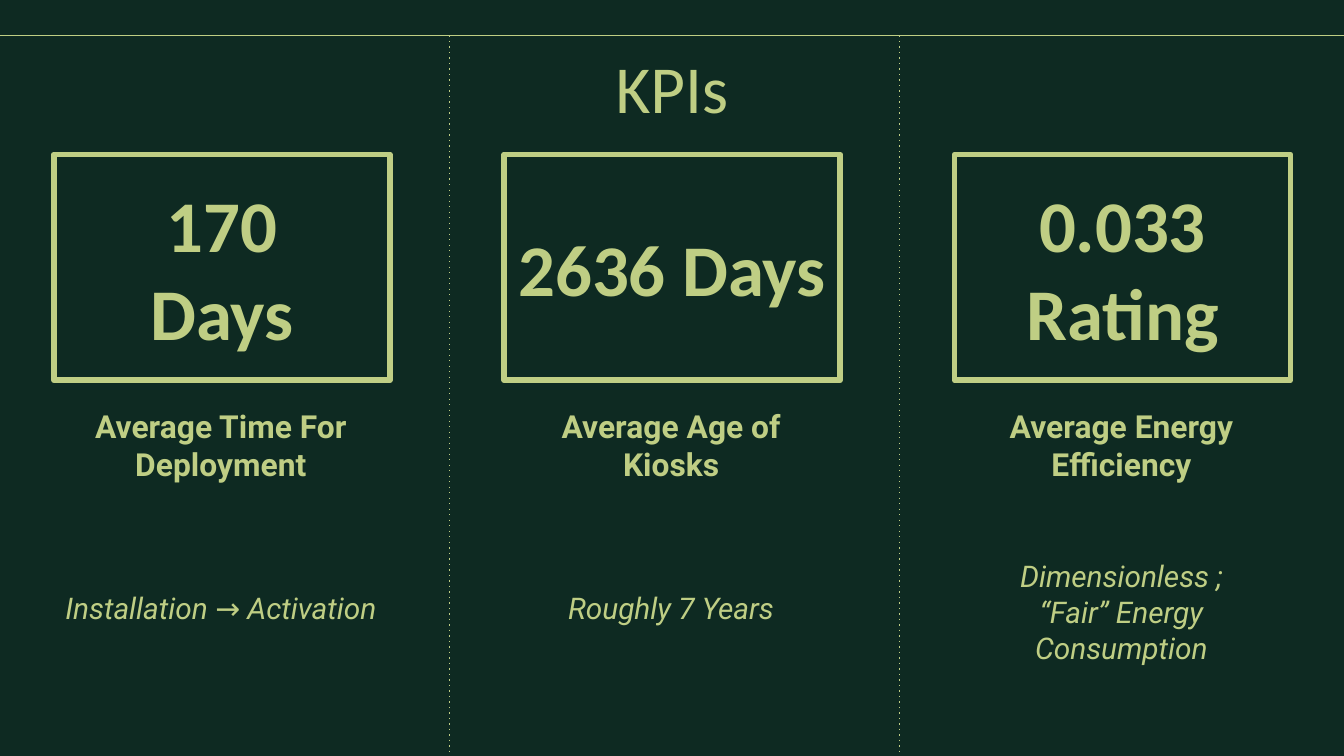
from lxml import etree
from pptx import Presentation
from pptx import util as u
from pptx.dml.color import RGBColor
from pptx.enum import shapes, text
from pptx.oxml.ns import qn

COLOURS = {"ground": "0E2A22", "accent": "BFCE84"}
WIDTH, HEIGHT = 25.4, 14.29
RULE_TOP = 0.67
PITCH = 8.51
FORMATS = {
    "title": {"name": "Calibri", "size": u.Pt(36), "bold": False},
    "value": {"name": "Calibri", "size": u.Pt(39), "bold": True},
    "caption": {"name": "Roboto", "size": u.Pt(17), "bold": True},
    "note": {"name": "Roboto", "size": u.Pt(16), "bold": False, "italic": True},
    "arrow": {"name": "Roboto", "size": u.Pt(16), "bold": False, "italic": False},
}
KPIS = [
    {
        "value": ["170", "Days"],
        "caption": ["Average Time For Deployment"],
        "note": [[("Installation ", "note"), ("→", "arrow"), (" Activation", "note")]],
        "gap": 57,
    },
    {
        "value": ["2636 Days"],
        "caption": ["Average Age of", "Kiosks"],
        "note": [[("Roughly 7 Years", "note")]],
        "gap": 57,
    },
    {
        "value": ["0.033", "Rating"],
        "caption": ["Average Energy Efficiency"],
        "note": [[("Dimensionless ;", "note")], [("“Fair” Energy Consumption", "note")]],
        "gap": 40,
    },
]


def colour(key):
    return RGBColor.from_string(COLOURS[key])


def place(element, left, top, width, height):
    element.left, element.top = u.Cm(left), u.Cm(top)
    element.width, element.height = u.Cm(width), u.Cm(height)


def set_frame(frame, anchor):
    settings = {"word_wrap": True, "auto_size": text.MSO_AUTO_SIZE.NONE, "vertical_anchor": anchor}
    settings.update(dict.fromkeys(
        ("margin_left", "margin_top", "margin_right", "margin_bottom"), u.Cm(0.25)))
    for key, setting in settings.items():
        setattr(frame, key, setting)


def write(frame, paragraphs):
    for index, (runs, gap) in enumerate(paragraphs):
        paragraph = frame.add_paragraph() if index else frame.paragraphs[0]
        paragraph.alignment = text.PP_ALIGN.CENTER
        if gap:
            paragraph.space_before = u.Pt(gap)
        for words, style in runs:
            run = paragraph.add_run()
            run.text = words
            for key, setting in FORMATS[style].items():
                setattr(run.font, key, setting)
            run.font.color.rgb = colour("accent")


def set_line(line, weight, detail=None, **attributes):
    line.color.rgb = colour("accent")
    line.width = u.Pt(weight)
    if detail:
        etree.SubElement(line._get_or_add_ln(), qn(detail), **attributes)


def add_rule(slide, start, end, dotted=False):
    rule = slide.shapes.add_connector(
        shapes.MSO_CONNECTOR.STRAIGHT, *(u.Cm(length) for length in start + end))
    if dotted:
        set_line(rule.line, 0.75, "a:prstDash", val="dot")
    else:
        set_line(rule.line, 0.75)
    etree.SubElement(rule._element.spPr, qn("a:effectLst"))


def add_title(slide, words):
    title = slide.shapes.title
    place(title, 2, 0.84, 21.4, 1.6)
    set_frame(title.text_frame, text.MSO_ANCHOR.MIDDLE)
    write(title.text_frame, [([(words, "title")], 0)])


def add_value_box(slide, left, lines):
    box = slide.shapes.add_shape(
        shapes.MSO_SHAPE.RECTANGLE, u.Cm(left), u.Cm(2.92), u.Cm(6.35), u.Cm(4.27))
    box.shadow.inherit = False
    box.fill.background()
    set_line(box.line, 3, "a:round")
    set_frame(box.text_frame, text.MSO_ANCHOR.MIDDLE)
    write(box.text_frame, [([(line, "value")], 0) for line in lines])


def add_description(slide, left, kpi):
    description = slide.shapes.add_textbox(u.Cm(left), u.Cm(7.44), u.Cm(6.93), u.Cm(6.15))
    set_frame(description.text_frame, text.MSO_ANCHOR.TOP)
    captions = [([(line, "caption")], 0) for line in kpi["caption"]]
    notes = [(runs, 0 if index else kpi["gap"]) for index, runs in enumerate(kpi["note"])]
    write(description.text_frame, captions + notes)


def main():
    deck = Presentation()
    deck.slide_width, deck.slide_height = u.Cm(WIDTH), u.Cm(HEIGHT)
    slide = deck.slides.add_slide(deck.slide_layouts[5])
    slide.background.fill.solid()
    slide.background.fill.fore_color.rgb = colour("ground")

    add_rule(slide, (0, RULE_TOP), (WIDTH, RULE_TOP))
    add_title(slide, "KPIs")
    for column, kpi in enumerate(KPIS):
        offset = column * PITCH
        add_value_box(slide, 1.02 + offset, kpi["value"])
        add_description(slide, 0.71 + offset, kpi)
        if column:
            divider = offset - 0.02
            add_rule(slide, (divider, RULE_TOP), (divider, HEIGHT), dotted=True)

    deck.save("out.pptx")


if __name__ == "__main__":
    main()
